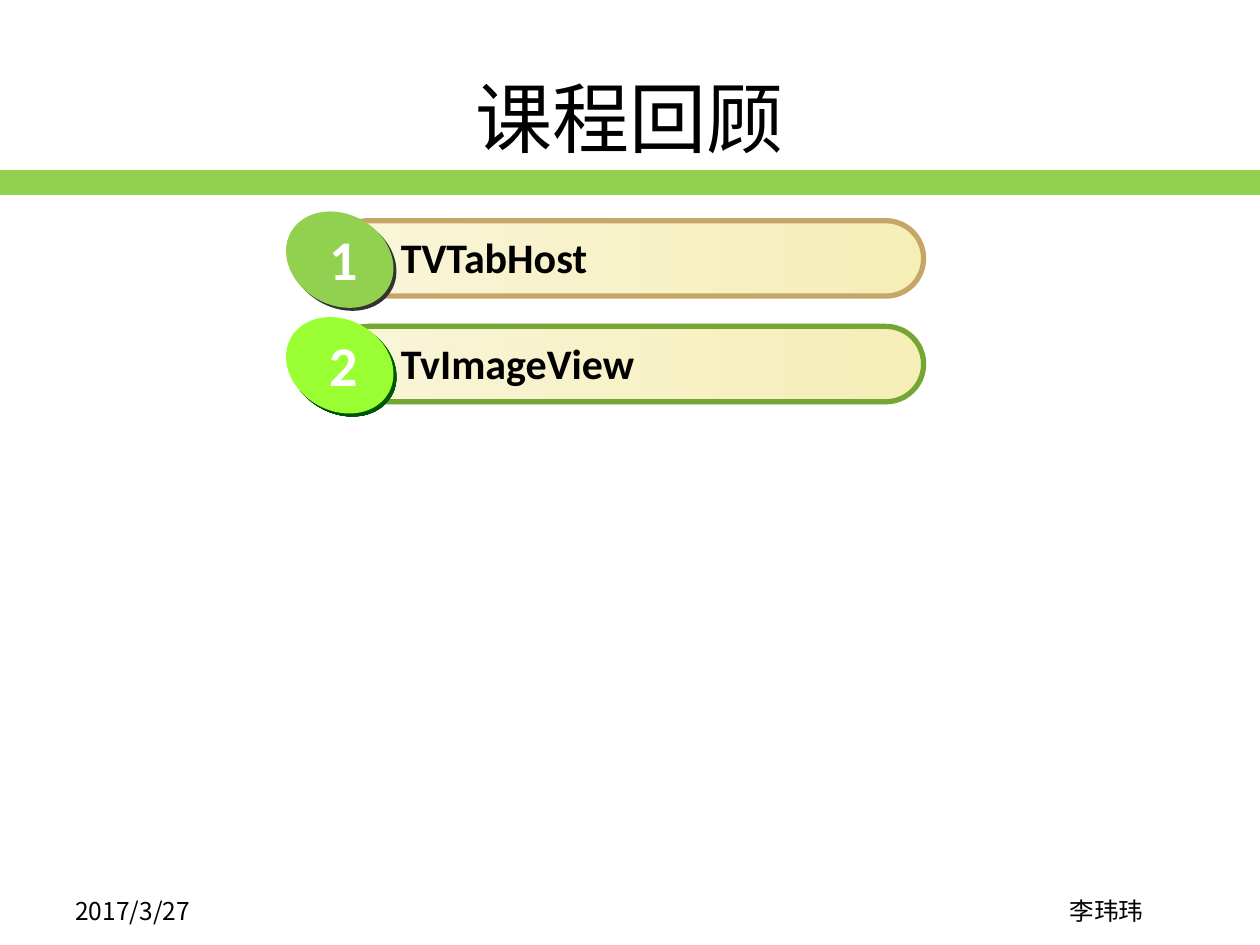
from lxml.etree import SubElement
from pptx import Presentation
from pptx.dml.color import RGBColor
from pptx.enum.shapes import MSO_SHAPE
from pptx.enum.text import MSO_ANCHOR, PP_ALIGN
from pptx.oxml.ns import qn
from pptx.util import Cm, Pt

CJK_FONT = "Noto Sans CJK SC"
LATIN_FONT = "Calibri"


def color(hex_value):
    return RGBColor.from_string(hex_value)


def paint(fill, colors, angle=0):
    if len(colors) == 1:
        fill.solid()
        fill.fore_color.rgb = color(colors[0])
        return
    fill.gradient()
    fill.gradient_angle = angle
    for stop, hex_value in zip(fill.gradient_stops, colors):
        stop.color.rgb = color(hex_value)


def add_shape(shapes, kind, box, colors, angle=0):
    shape = shapes.add_shape(kind, *map(Cm, box))
    shape.shadow.inherit = False
    paint(shape.fill, colors, angle)
    shape.line.fill.background()
    return shape


def add_text(shapes, box, text, size, font_name, hex_value="000000", bold=False,
             align=PP_ALIGN.LEFT, anchor=MSO_ANCHOR.TOP, wrap=True):
    frame = shapes.add_textbox(*map(Cm, box)).text_frame
    frame.word_wrap = wrap
    frame.vertical_anchor = anchor
    paragraph = frame.paragraphs[0]
    paragraph.text = text
    paragraph.alignment = align
    font = paragraph.font
    font.name = font_name
    font.size = Pt(size)
    font.bold = bold
    font.color.rgb = color(hex_value)
    properties = paragraph._p.pPr.find(qn("a:defRPr"))
    SubElement(properties, qn("a:ea")).set("typeface", font_name)


def add_header(slide, left, top, width):
    add_shape(slide.shapes, MSO_SHAPE.RECTANGLE, (left, top + 3.43, width, 0.5), ["92D050"])
    add_text(slide.shapes, (left + 1.27, top + 0.76, width - 2.54, 3.18), "课程回顾", 44,
             CJK_FONT, align=PP_ALIGN.CENTER, anchor=MSO_ANCHOR.MIDDLE)


def add_footer(slide, left, top):
    add_text(slide.shapes, (left, top, 3.63, 0.86), "2017/3/27", 14, CJK_FONT)
    add_text(slide.shapes, (left + 19.84, top, 2.39, 0.86), "李玮玮", 14, CJK_FONT,
             align=PP_ALIGN.CENTER)


def add_topic(slide, left, top, number, label, outline, badge, badge_shade):
    shapes = slide.shapes.add_group_shape().shapes
    pill = add_shape(shapes, MSO_SHAPE.ROUNDED_RECTANGLE,
                     (left + 0.94, top + 0.13, 11.96, 1.52), ["F9F5D9", "F5EEB7"])
    pill.adjustments[0] = 0.5
    pill.line.color.rgb = color(outline)
    pill.line.width = Pt(3)
    add_text(shapes, (left + 2.11, top + 0.22, 9.53, 1.3), label, 24, LATIN_FONT, bold=True)
    for offset, colors in ((0.06, badge_shade), (0, [badge])):
        oval = add_shape(shapes, MSO_SHAPE.OVAL,
                         (left + offset, top + offset, 2.26, 1.83), colors, angle=270)
        oval.rotation = 29.3
    add_text(shapes, (left + 0.64, top + 0.08, 1.14, 1.6), str(number), 32, LATIN_FONT,
             "FFFFFF", bold=True, align=PP_ALIGN.CENTER, wrap=False)


def add_topics(slide, left, top, pitch):
    topics = (
        ("TVTabHost", "C5A667", "92D050", ["333333"]),
        ("TvImageView", "74A731", "99FF33", ["006600", "004900"]),
    )
    for index, topic in enumerate(topics):
        add_topic(slide, left, top + index * pitch, index + 1, *topic)


def main():
    presentation = Presentation()
    presentation.slide_width = Cm(25.4)
    presentation.slide_height = Cm(19.05)
    slide = presentation.slides.add_slide(presentation.slide_layouts[6])
    add_footer(slide, 1.27, 17.93)
    add_header(slide, 0, 0, 25.4)
    add_topics(slide, 5.72, 4.32, 2.13)
    presentation.save("out.pptx")


if __name__ == "__main__":
    main()
